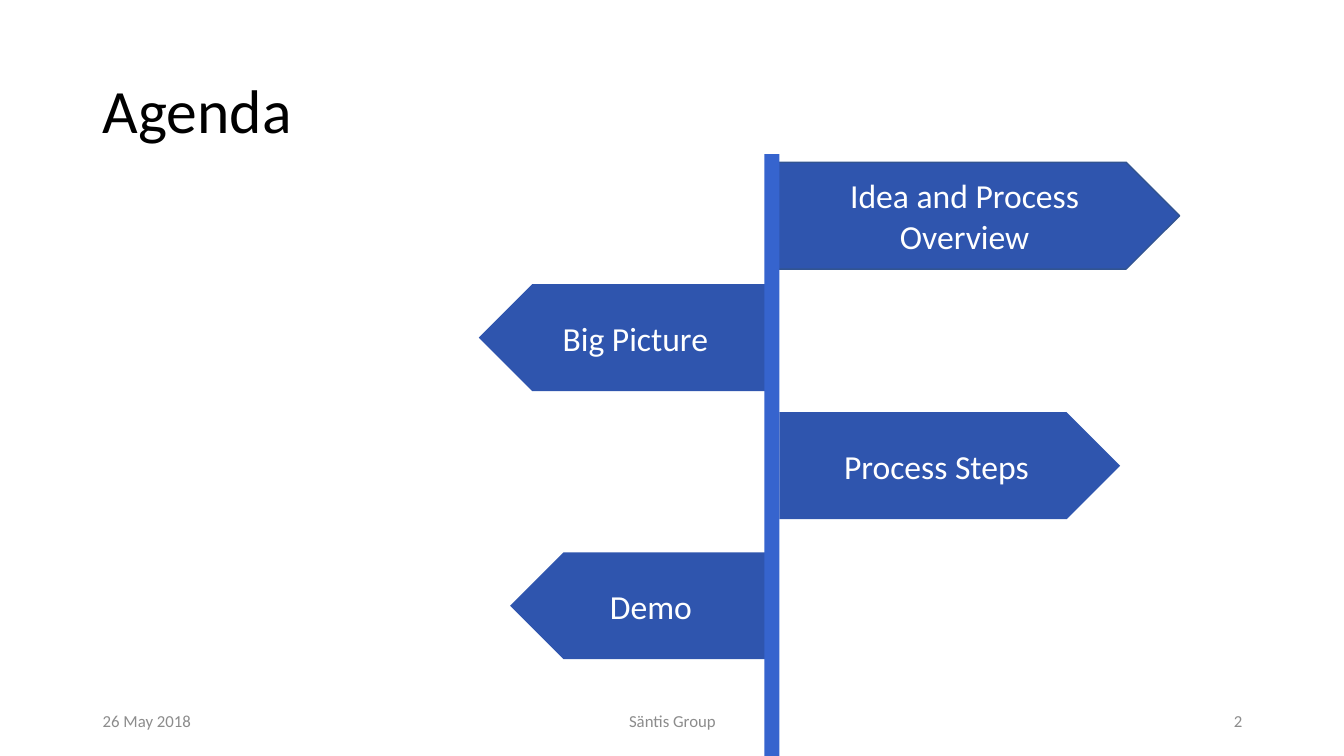
from dataclasses import dataclass

from pptx import Presentation
from pptx.dml.color import RGBColor
from pptx.enum.shapes import MSO_SHAPE
from pptx.enum.text import MSO_ANCHOR, MSO_AUTO_SIZE, PP_ALIGN
from pptx.util import Inches, Pt

LEFT, CENTER, RIGHT = PP_ALIGN.LEFT, PP_ALIGN.CENTER, PP_ALIGN.RIGHT
MIDDLE, NO_FIT = MSO_ANCHOR.MIDDLE, MSO_AUTO_SIZE.NONE
SIGN, POST = MSO_SHAPE.PENTAGON, MSO_SHAPE.RECTANGLE

TITLE = "Agenda"
# text, side of the post, top, length, start edge, outline
SIGNS = [
    ("Idea and Process Overview", "right", 1.61, 4.0, 7.7, "325491"),
    ("Big Picture", "left", 2.82, 2.84, 7.59, None),
    ("Process Steps", "right", 4.09, 3.38, 7.73, None),
    ("Demo", "left", 5.48, 2.53, 7.59, None),
]
# text, left, width, alignment
FOOTERS = [
    ("26 May 2018", 0.92, 3, LEFT),
    ("Säntis Group", 4.42, 4.5, CENTER),
    ("2", 9.42, 3, RIGHT),
]
SIGN_HEIGHT = 1.06
POST_BOX = (7.58, 1.53, 0.15, 5.97)
TITLE_BOX = (0.92, 0.4, 11.5, 1.45)
FOOTER_TOP, FOOTER_HEIGHT = 6.95, 0.4


@dataclass(frozen=True)
class Theme:
    font: str = "Calibri"
    title: str = "000000"
    footer: str = "8C8C8C"
    sign: str = "2F55AE"
    sign_text: str = "FFFFFF"
    post: str = "3664CE"
    title_size: int = 44
    sign_size: int = 24
    footer_size: int = 12


THEME = Theme()


def inches(*lengths):
    return [Inches(length) for length in lengths]


def write(box, text, size, color, align):
    frame = box.text_frame
    frame.word_wrap = True
    frame.auto_size = NO_FIT
    frame.vertical_anchor = MIDDLE
    para = frame.paragraphs[0]
    para.alignment = align
    span = para.add_run()
    span.text = text
    span.font.name = THEME.font
    span.font.size = Pt(size)
    span.font.color.rgb = RGBColor.from_string(color)
    return para


def add_block(page, kind, bounds, fill, outline=None):
    box = page.shapes.add_shape(kind, *inches(*bounds))
    box.shadow.inherit = False
    box.fill.solid()
    box.fill.fore_color.rgb = RGBColor.from_string(fill)
    if outline:
        box.line.color.rgb = RGBColor.from_string(outline)
        box.line.width = Pt(1)
    else:
        box.line.fill.background()
    return box


def add_title(page):
    box = page.shapes.title
    box.left, box.top, box.width, box.height = inches(*TITLE_BOX)
    para = write(box, TITLE, THEME.title_size, THEME.title, LEFT)
    para.line_spacing = 0.9


def add_footers(page):
    for text, left, width, align in FOOTERS:
        box = page.shapes.add_textbox(*inches(left, FOOTER_TOP, width, FOOTER_HEIGHT))
        write(box, text, THEME.footer_size, THEME.footer, align)


def add_signpost(page):
    for text, side, top, length, edge, outline in SIGNS:
        points_left = side == "left"
        left = edge - length if points_left else edge
        box = add_block(page, SIGN, (left, top, length, SIGN_HEIGHT), THEME.sign, outline)
        if points_left:
            box.element.spPr.xfrm.set("flipH", "1")
        write(box, text, THEME.sign_size, THEME.sign_text, CENTER)
    add_block(page, POST, POST_BOX, THEME.post)


def main():
    deck = Presentation()
    deck.slide_width, deck.slide_height = inches(13.33, 7.5)
    page = deck.slides.add_slide(deck.slide_layouts.get_by_name("Title Only"))
    add_title(page)
    add_footers(page)
    add_signpost(page)
    deck.save("out.pptx")


if __name__ == "__main__":
    main()
